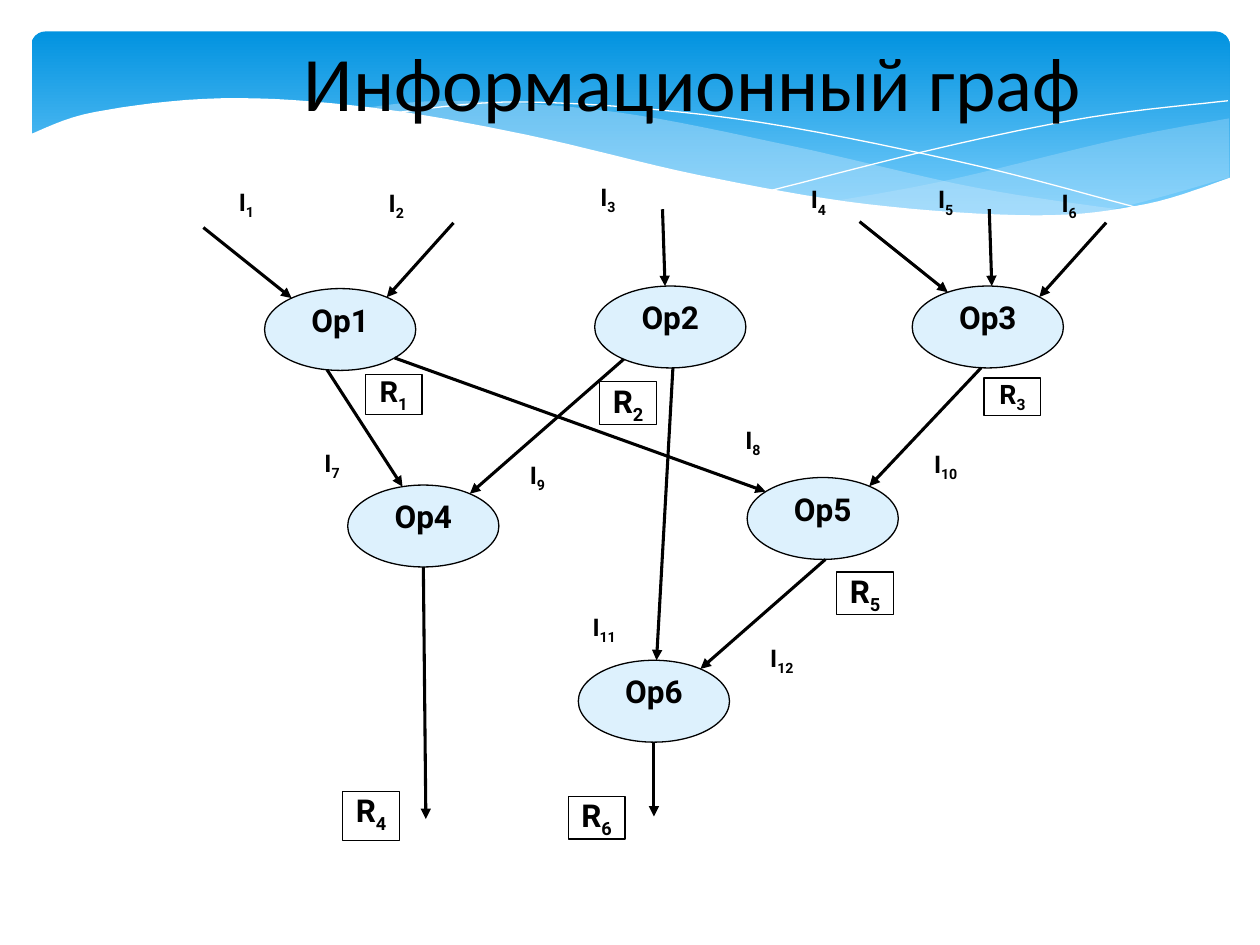
from math import cos, radians, sin
from typing import Any, NamedTuple

from lxml.etree import SubElement
from pptx import Presentation
from pptx.dml.color import RGBColor
from pptx.enum.shapes import MSO_CONNECTOR as Link, MSO_SHAPE as Preset
from pptx.enum.text import MSO_ANCHOR as Anchor, PP_ALIGN as Align
from pptx.oxml.ns import qn
from pptx.util import Cm, Pt

BLACK, WHITE, NODE_FILL, WAVE_FILL = "000000", "FFFFFF", "DDF1FD", "C6E7FC"
NODE_WIDTH, NODE_HEIGHT, LABEL_WIDTH = 1.2, 0.65, 0.45
STEPS = 8
Point = tuple[float, float]


class Edge(NamedTuple):
    """Link between two nodes, each end at an angle on the oval."""
    source: int
    leave: float
    target: int
    enter: float


class Ray(NamedTuple):
    """Arrow between a node and a free end, given as an offset."""
    node: int
    angle: float
    offset: Point
    inward: bool = True


class Result(NamedTuple):
    left: float
    top: float
    height: float = 0.34
    size: float = 18
    spacing: float = 1.0


class Wave(NamedTuple):
    """Smooth curves joined end to end; alpha 0 means a bare line."""
    curves: list[list[Point]]
    colour: str
    alpha: int


NODES = [(2.1, 2.29), (4.72, 2.27), (7.24, 2.27), (2.76, 3.85), (5.93, 3.79), (4.59, 5.24)]
EDGES = [Edge(1, 260, 4, 106), Edge(2, 232, 4, 52), Edge(1, 316, 5, 139),
         Edge(2, 272, 6, 88), Edge(3, 265, 5, 52), Edge(5, 272, 6, 52)]
FROM_LEFT, FROM_RIGHT, FROM_ABOVE = (-0.7, -0.56), (0.53, -0.59), (-0.02, -0.61)
RAYS = [Ray(1, 130, FROM_LEFT), Ray(1, 52, FROM_RIGHT), Ray(2, 94, FROM_ABOVE),
        Ray(3, 122, FROM_LEFT), Ray(3, 87, FROM_ABOVE), Ray(3, 47, FROM_RIGHT),
        Ray(4, 270, (0.02, 2), False), Ray(6, 270, (0, 0.59), False)]
INPUTS = [(1.73, 1.51), (2.92, 1.52), (4.6, 1.47), (6.27, 1.49), (7.28, 1.49), (8.26, 1.52),
          (2.41, 3.58), (5.75, 3.4), (4.04, 3.68), (7.28, 3.59), (4.57, 4.88), (5.98, 5.13)]
RESULTS = [Result(2.9, 2.97, 0.32, 16.6, 0.9), Result(4.76, 3.03),
           Result(7.81, 3, 0.3, 15.3, 0.9), Result(2.72, 6.28, 0.39),
           Result(6.64, 4.54), Result(4.51, 6.32)]
WAVES = [
    Wave([[(9.76, 0.94), (8.91, 1.1), (7.53, 1.43), (6.61, 1.6)],
          [(6.61, 1.6), (7.69, 1.71), (8.63, 1.7), (9.76, 1.41)]], WAVE_FILL, 29),
    Wave([[(8.93, 1.67), (7.75, 1.49), (6.29, 1.16), (4.89, 0.89), (3.61, 0.8), (2.86, 0.86)],
          [(2.86, 0.86), (4.04, 1.06), (5.66, 1.43), (6.95, 1.65), (7.96, 1.73),
           (8.93, 1.67)]], WAVE_FILL, 40),
    Wave([[(3.09, 0.9), (4.16, 0.81), (5.82, 0.94), (7.6, 1.28), (9.07, 1.66)]], WHITE, 0),
    Wave([[(6.13, 1.51), (7.48, 1.17), (8.66, 0.93), (9.75, 0.8)]], WHITE, 0),
    Wave([[(0.23, 1.07), (0.75, 0.89), (1.76, 0.78), (2.92, 0.85), (4.18, 1.07), (5.55, 1.39),
           (6.88, 1.62), (8.23, 1.71), (9.1, 1.62), (9.77, 1.41)],
          [(9.77, 2.24)], [(0.23, 2.24)]], WHITE, 100),
]


def size(value: float) -> Cm:
    """Turn a layout unit of 2.54 cm into a length."""
    return Cm(value * 2.54)


def colour(code: str) -> RGBColor:
    return RGBColor.from_string(code)


def apply(target: Any, values: dict[str, Any]) -> None:
    for name, value in values.items():
        setattr(target, name, value)


def paint(shape: Any, fill: str | None, line: str | None, width: float = 0.75) -> None:
    shape.shadow.inherit = False
    if fill:
        shape.fill.solid()
        shape.fill.fore_color.rgb = colour(fill)
    else:
        shape.fill.background()
    if line:
        shape.line.color.rgb = colour(line)
        shape.line.width = Pt(width)
    else:
        shape.line.fill.background()


def write(shape: Any, text: str, points: float, index: str = "", font: str = "Roboto",
          bold: bool = True, spacing: float = 1.0, anchor: Anchor = Anchor.TOP) -> None:
    """Put one centred line, with an optional subscript, into a shape."""
    frame = shape.text_frame
    apply(frame, {"word_wrap": True, "vertical_anchor": anchor, "margin_left": 0,
                  "margin_right": 0, "margin_top": 0, "margin_bottom": 0})
    para = frame.paragraphs[0]
    apply(para, {"alignment": Align.CENTER, "line_spacing": spacing})
    for part in filter(None, (text, index)):
        span = para.add_run()
        span.text = part
        apply(span.font, {"name": font, "size": Pt(points), "bold": bold})
        span.font.color.rgb = colour(BLACK)
    if index:
        span.font._element.set("baseline", "-25000")


def draw_banner(page: Any) -> None:
    banner = page.shapes.add_shape(Preset.ROUNDED_RECTANGLE, size(0.25), size(0.25),
                                   size(9.51), size(1.56))
    banner.adjustments[0] = 0.07
    paint(banner, None, None)
    banner.fill.gradient()
    banner.fill.gradient_angle = 270
    for stop, code, position in zip(banner.fill.gradient_stops, ("0293E0", "83D3FE"), (0, 1)):
        stop.color.rgb = colour(code)
        stop.position = position


def smooth(knots: list[Point]) -> list[Point]:
    """Run a Catmull-Rom spline through the knots, in thousandths of a unit."""
    padded = [knots[0], *knots, knots[-1]]
    curve = []
    for before, start, end, after in zip(padded, padded[1:], padded[2:], padded[3:]):
        for step in range(STEPS):
            t = step / STEPS
            curve.append(tuple(
                500 * (2 * b + (c - a) * t + (2 * a - 5 * b + 4 * c - d) * t ** 2
                       + (3 * b - a - 3 * c + d) * t ** 3)
                for a, b, c, d in zip(before, start, end, after)))
    return curve + [tuple(1000 * value for value in knots[-1])]


def draw_wave(page: Any, wave: Wave) -> None:
    points = [point for knots in wave.curves for point in smooth(knots)]
    closed = wave.alpha > 0
    builder = page.shapes.build_freeform(*points[0], scale=size(0.001))
    builder.add_line_segments(points[1:], close=closed)
    shape = builder.convert_to_shape()
    if not closed:
        paint(shape, None, wave.colour, 0)
        return
    paint(shape, wave.colour, None)
    if wave.alpha < 100:
        tone = shape._element.spPr.find(qn("a:solidFill"))[0]
        SubElement(tone, qn("a:alpha"), val=str(wave.alpha * 1000))


def rim(number: int, angle: float) -> Point:
    """Find the point of a node's outline at an angle in degrees."""
    left, top = NODES[number - 1]
    turn = radians(angle)
    return (left + NODE_WIDTH / 2 * (1 + cos(turn)), top + NODE_HEIGHT / 2 * (1 - sin(turn)))


def draw_arrow(page: Any, start: Point, end: Point) -> None:
    link = page.shapes.add_connector(Link.STRAIGHT, *map(size, (*start, *end)))
    link.line.color.rgb = colour(BLACK)
    link.line.width = Pt(1.75)
    SubElement(link.line._get_or_add_ln(), qn("a:tailEnd"), type="triangle")
    SubElement(link._element.spPr, qn("a:effectLst"))


def draw_graph(page: Any) -> None:
    for number, (left, top) in enumerate(NODES, 1):
        oval = page.shapes.add_shape(Preset.OVAL, *map(size, (left, top, NODE_WIDTH, NODE_HEIGHT)))
        paint(oval, NODE_FILL, BLACK)
        write(oval, f"Op{number}", 18)
    for edge in EDGES:
        draw_arrow(page, rim(edge.source, edge.leave), rim(edge.target, edge.enter))
    for ray in RAYS:
        near = rim(ray.node, ray.angle)
        far = (near[0] + ray.offset[0], near[1] + ray.offset[1])
        draw_arrow(page, *((far, near) if ray.inward else (near, far)))
    for number, (left, top) in enumerate(INPUTS, 1):
        box = page.shapes.add_textbox(*map(size, (left, top, LABEL_WIDTH, 0.27)))
        write(box, "I", 13.9, str(number), spacing=0.8)
    for number, result in enumerate(RESULTS, 1):
        box = page.shapes.add_shape(Preset.RECTANGLE, *map(
            size, (result.left, result.top, LABEL_WIDTH, result.height)))
        paint(box, None, BLACK)
        write(box, "R", result.size, str(number), spacing=result.spacing)


def main() -> None:
    deck = Presentation()
    apply(deck, {"slide_width": size(10), "slide_height": size(7.5)})
    page = deck.slides.add_slide(deck.slide_layouts[6])
    draw_banner(page)
    for wave in WAVES:
        draw_wave(page, wave)
    title = page.shapes.add_textbox(size(1), size(-0.11), size(9), size(1.5))
    write(title, "Информационный граф", 44, font="Calibri", bold=False, anchor=Anchor.MIDDLE)
    draw_graph(page)
    deck.save("out.pptx")


if __name__ == "__main__":
    main()
